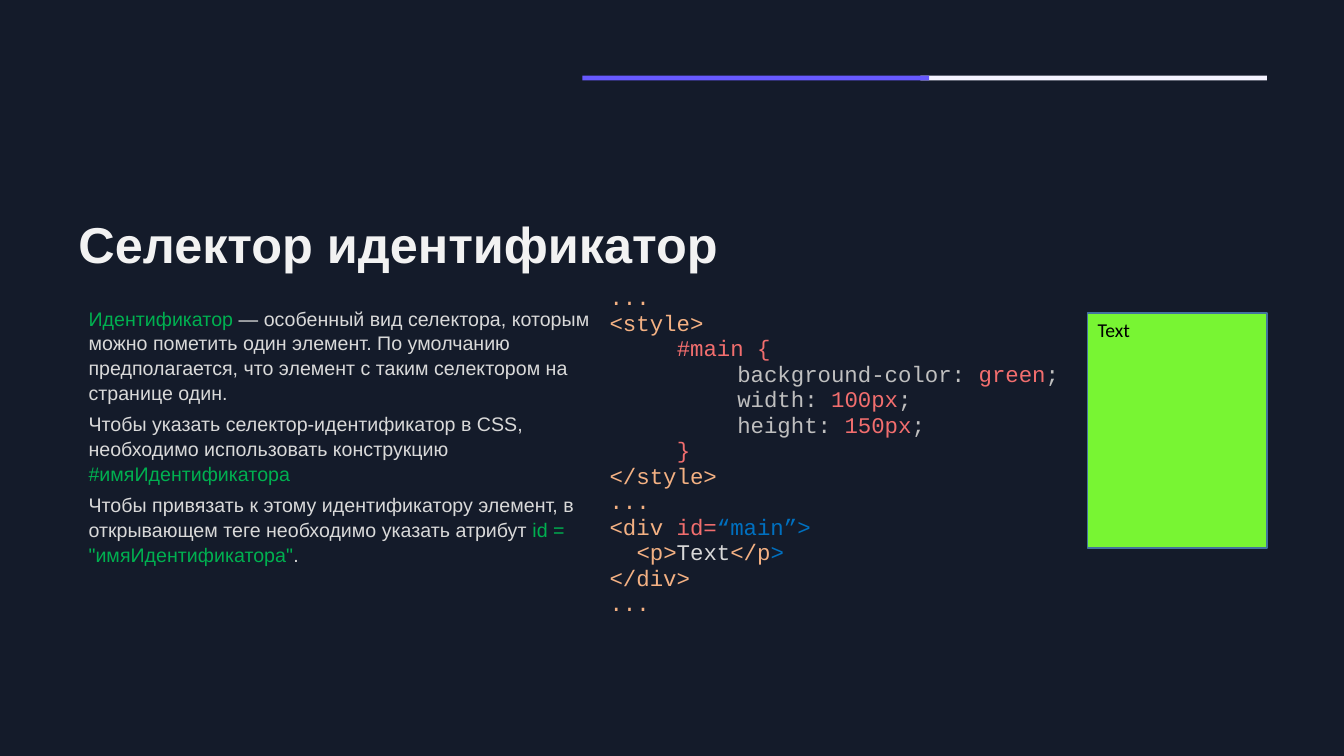
from dataclasses import dataclass

from pptx import Presentation
from pptx.dml.color import RGBColor
from pptx.enum import shapes, text
from pptx.util import Pt


@dataclass(frozen=True)
class Theme:
    background: str = "141B2A"
    title: str = "F2F2F2"
    body: str = "D9D9D9"
    term: str = "00B050"
    tag: str = "F4B183"
    value: str = "F26E6E"
    prop: str = "BFBFBF"
    string: str = "0070C0"
    rule_light: str = "F4F3FF"
    rule_accent: str = "6759FE"
    demo_fill: str = "78F533"
    demo_line: str = "43739E"
    demo_text: str = "000000"
    sans: str = "Arial"
    mono: str = "Courier New"
    demo_font: str = "Calibri"
    title_size: int = 36
    body_size: int = 14
    code_size: int = 16


THEME = Theme()

# Each paragraph is a list of (text, colour) pieces
DESCRIPTION = [
    [("Идентификатор", THEME.term),
     (" — особенный вид селектора, которым можно пометить один элемент. "
      "По умолчанию предполагается, что элемент с таким селектором "
      "на странице один.", THEME.body)],
    [("Чтобы указать селектор-идентификатор в CSS, необходимо "
      "использовать конструкцию ", THEME.body),
     ("#имяИдентификатора", THEME.term)],
    [("Чтобы привязать к этому идентификатору элемент, в открывающем теге "
      "необходимо указать атрибут ", THEME.body),
     ('id = "имяИдентификатора"', THEME.term), (".", THEME.body)],
]


def declaration(name, value):
    return [(f"{name}: ", THEME.prop), (value, THEME.value), (";", THEME.prop)]


# Each code line is its indent in points and its coloured pieces
RULE_INDENT, PROPERTY_INDENT, CHILD_INDENT = 48, 91.2, 19.2
CODE = [
    (0, [("...", THEME.tag)]),
    (0, [("<style>", THEME.tag)]),
    (RULE_INDENT, [("#main {", THEME.value)]),
    (PROPERTY_INDENT, declaration("background-color", "green")),
    (PROPERTY_INDENT, declaration("width", "100px")),
    (PROPERTY_INDENT, declaration("height", "150px")),
    (RULE_INDENT, [("}", THEME.value)]),
    (0, [("</style>", THEME.tag)]),
    (0, [("...", THEME.tag)]),
    (0, [("<div ", THEME.tag), ("id=", THEME.value), ("“main”>", THEME.string)]),
    (CHILD_INDENT, [("<p>", THEME.tag), ("Text", THEME.body),
                    ("</p", THEME.tag), (">", THEME.string)]),
    (0, [("</div>", THEME.tag)]),
    (0, [("...", THEME.tag)]),
]


def write(frame, paragraphs, *, font, size, bold=False, spacing=1.0, before=0,
          indents=None, anchor=text.MSO_ANCHOR.TOP):
    """Fill a text frame with paragraphs of coloured pieces."""
    frame.word_wrap = True
    frame.vertical_anchor = anchor
    for index, pieces in enumerate(paragraphs):
        paragraph = frame.paragraphs[0] if index == 0 else frame.add_paragraph()
        paragraph.alignment = text.PP_ALIGN.LEFT
        paragraph.line_spacing = spacing
        paragraph.space_before = Pt(before)
        if indents and indents[index]:
            properties = paragraph._p.get_or_add_pPr()
            properties.set("marL", str(Pt(indents[index])))
            properties.set("indent", "0")
        for content, color in pieces:
            run = paragraph.add_run()
            run.text = content
            run.font.name = font
            run.font.size = Pt(size)
            run.font.bold = bold
            run.font.color.rgb = RGBColor.from_string(color)


def add_text(slide, box, paragraphs, **style):
    label = slide.shapes.add_textbox(*map(Pt, box))
    write(label.text_frame, paragraphs, **style)


def add_box(slide, box, fill, line=None):
    panel = slide.shapes.add_shape(shapes.MSO_SHAPE.RECTANGLE, *map(Pt, box))
    panel.shadow.inherit = False
    panel.fill.solid()
    panel.fill.fore_color.rgb = RGBColor.from_string(fill)
    if line:
        panel.line.color.rgb = RGBColor.from_string(line)
        panel.line.width = Pt(1)
    else:
        panel.line.fill.background()
    return panel


def main():
    deck = Presentation()
    deck.slide_width, deck.slide_height = Pt(960), Pt(540)
    slide = deck.slides.add_slide(deck.slide_layouts[6])
    slide.background.fill.solid()
    slide.background.fill.fore_color.rgb = RGBColor.from_string(THEME.background)

    # Title
    add_text(slide, (49, 153.4, 856, 46.8),
             [[("Селектор идентификатор", THEME.title)]],
             font=THEME.sans, size=THEME.title_size, bold=True, spacing=0.9,
             anchor=text.MSO_ANCHOR.MIDDLE)

    # Two-colour rule, the accent part lying over the light one
    for left, color in ((657.4, THEME.rule_light), (416, THEME.rule_accent)):
        add_box(slide, (left, 54, 247.6, 3.4), color)

    # Description
    add_text(slide, (49, 214.6, 393.8, 187.2), DESCRIPTION,
             font=THEME.sans, size=THEME.body_size, spacing=1.05, before=5,
             indents=[7.2] * len(DESCRIPTION))

    # Code sample
    add_text(slide, (428.4, 200.2, 340.6, 242.6), [line for _, line in CODE],
             font=THEME.mono, size=THEME.code_size, spacing=0.95,
             indents=[indent for indent, _ in CODE])

    # Resulting block
    demo = add_box(slide, (776.9, 223.6, 128.2, 167.8),
                   THEME.demo_fill, THEME.demo_line)
    write(demo.text_frame, [[("Text", THEME.demo_text)]],
          font=THEME.demo_font, size=THEME.body_size)

    deck.save("out.pptx")


if __name__ == "__main__":
    main()
